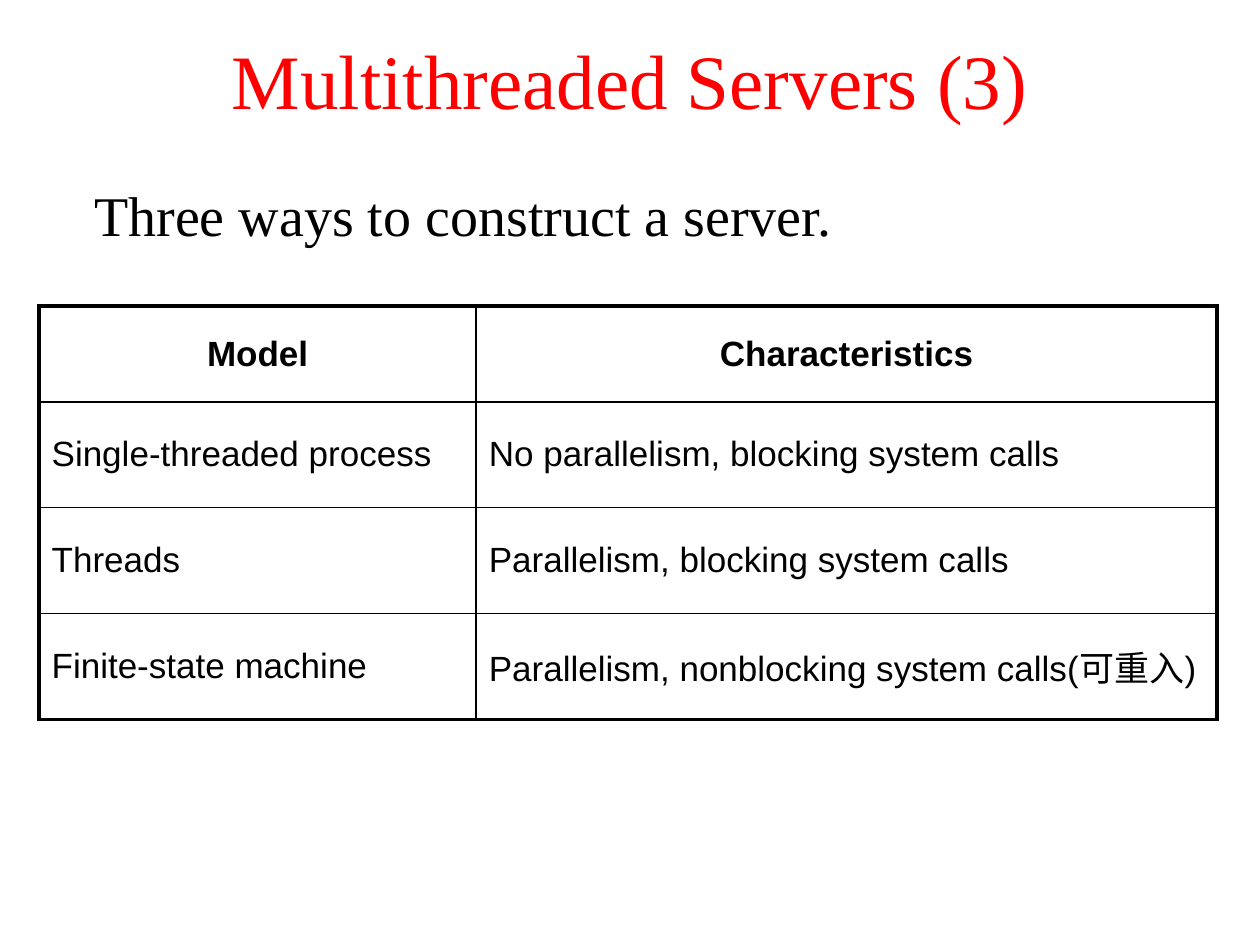
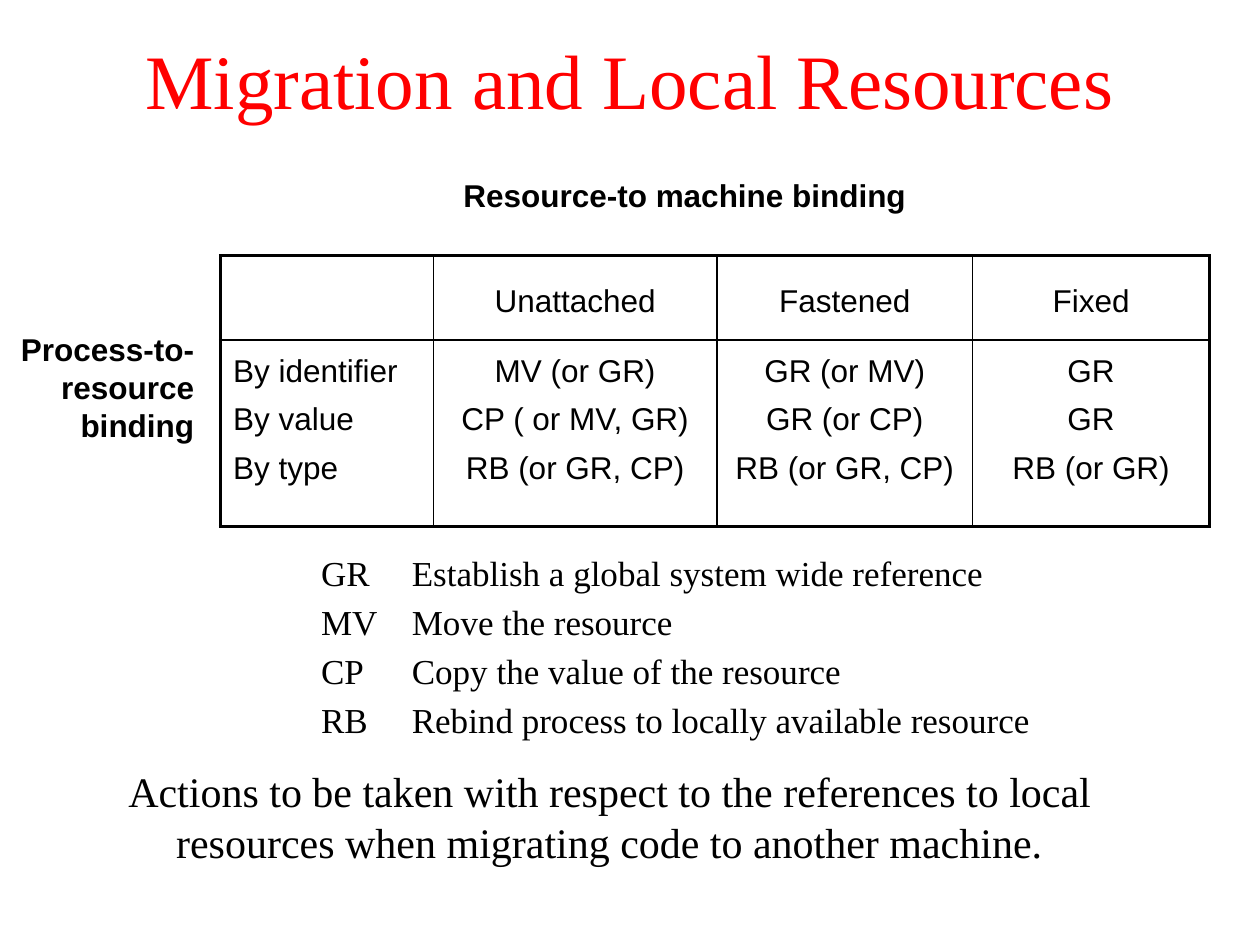
from dataclasses import dataclass
from typing import Sequence

from lxml.etree import SubElement
from pptx import Presentation
from pptx.dml.color import RGBColor
from pptx.enum.text import MSO_ANCHOR as Anchor, MSO_AUTO_SIZE as AutoSize, PP_ALIGN as Align
from pptx.oxml.ns import qn
from pptx.util import Inches, Pt

COLORS = {"title": "FF0000", "text": "000000", "rule": "000000"}
SERIF, SANS = "Times New Roman", "Arial"
TITLE_ONLY = 5
SLIDE_WIDTH, SLIDE_HEIGHT = Inches(10), Inches(7.5)
GRID_COLUMNS, GRID_ROWS = 100, 75
OUTER_RULE, INNER_RULE = 2.25, 1
HANG = 3.8


@dataclass(frozen=True)
class Area:
    """A place on the slide, in grid columns and rows."""
    column: float
    row: float
    columns: float
    rows: float

    def emu(self) -> tuple[int, int, int, int]:
        return across(self.column), down(self.row), across(self.columns), down(self.rows)


@dataclass(frozen=True)
class Style:
    font: str
    size: float
    bold: bool = False
    color: str = "text"
    align: Align = Align.LEFT
    line_spacing: float = 1.0
    gap: float = 0.2  # space between paragraphs, as a share of the text size
    hang: float = 0  # hanging indent in grid columns


@dataclass(frozen=True)
class Cell:
    lines: Sequence[str]
    style: Style
    anchor: Anchor = Anchor.MIDDLE


TITLE = Style(SERIF, 44, color="title", align=Align.CENTER)
LEAD = Style(SERIF, 32, line_spacing=0.9, hang=HANG)
CONCLUSION = Style(SERIF, 24, hang=HANG)
LEGEND = Style(SERIF, 20, hang=7.2)
MODEL_HEAD = Style(SANS, 20, bold=True, align=Align.CENTER)
MODEL_BODY = Style(SANS, 20)
BINDING = Style(SANS, 18, line_spacing=1.2)
ACTION = Style(SANS, 18, align=Align.CENTER, line_spacing=1.2)
RESOURCE_AXIS = Style(SANS, 18, bold=True, align=Align.CENTER)
PROCESS_AXIS = Style(SANS, 18, bold=True, align=Align.RIGHT)

TITLE_AREA = Area(0, 0, 100, 12.5)

MODELS = [
    ("Model", "Characteristics"),
    ("Single-threaded process", "No parallelism, blocking system calls"),
    ("Threads", "Parallelism, blocking system calls"),
    ("Finite-state machine", "Parallelism, nonblocking system calls(可重入)"),
]

MACHINE_BINDINGS = ["", "Unattached", "Fastened", "Fixed"]
PROCESS_BINDINGS = ["By identifier", "By value", "By type"]
ACTIONS = [
    ["MV (or GR)", "CP ( or MV, GR)", "RB (or GR, CP)"],
    ["GR (or MV)", "GR (or CP)", "RB (or GR, CP)"],
    ["GR", "GR", "RB (or GR)"],
]

ABBREVIATIONS = {
    "GR": "Establish a global system wide reference",
    "MV": "Move the resource",
    "CP": "Copy the value of the resource",
    "RB": "Rebind process to locally available resource",
}


def across(columns: float) -> int:
    return round(SLIDE_WIDTH * columns / GRID_COLUMNS)


def down(rows: float) -> int:
    return round(SLIDE_HEIGHT * rows / GRID_ROWS)


def write(frame, lines: Sequence[str], style: Style) -> None:
    for index, line in enumerate(lines):
        paragraph = frame.add_paragraph() if index else frame.paragraphs[0]
        paragraph.alignment = style.align
        paragraph.line_spacing = style.line_spacing
        paragraph.space_before = Pt(style.gap * style.size if index else 0)
        if style.hang:
            properties = paragraph._p.get_or_add_pPr()
            properties.set("marL", str(across(style.hang)))
            properties.set("indent", str(-across(style.hang)))
        run = paragraph.add_run()
        run.text = line
        run.font.name = style.font
        run.font.size = Pt(style.size)
        run.font.bold = style.bold
        run.font.color.rgb = RGBColor.from_string(COLORS[style.color])


def add_titled_slide(deck, title: str):
    slide = deck.slides.add_slide(deck.slide_layouts[TITLE_ONLY])
    heading = slide.shapes.title
    heading.left, heading.top, heading.width, heading.height = TITLE_AREA.emu()
    heading.text_frame.auto_size = AutoSize.NONE
    heading.text_frame.vertical_anchor = Anchor.MIDDLE
    write(heading.text_frame, [title], TITLE)
    return slide


def add_text(slide, area: Area, lines: Sequence[str], style: Style) -> None:
    frame = slide.shapes.add_textbox(*area.emu()).text_frame
    frame.word_wrap = True
    write(frame, lines, style)


def rule_cell(cell, on_edge: dict[str, bool]) -> None:
    """Draw the four borders, heavier where the cell meets the table's edge."""
    properties = cell._tc.get_or_add_tcPr()
    for side in ("L", "R", "T", "B"):
        weight = OUTER_RULE if on_edge[side] else INNER_RULE
        line = SubElement(properties, qn(f"a:ln{side}"), w=str(Pt(weight)))
        fill = SubElement(line, qn("a:solidFill"))
        SubElement(fill, qn("a:srgbClr"), val=COLORS["rule"])


def add_ruled_table(slide, column: float, row: float, widths: Sequence[float],
                    heights: Sequence[float], cells: Sequence[Sequence[Cell]]) -> None:
    area = Area(column, row, sum(widths), sum(heights))
    table = slide.shapes.add_table(len(heights), len(widths), *area.emu()).table
    table.first_row = table.horz_banding = False
    for table_column, width in zip(table.columns, widths):
        table_column.width = across(width)
    for table_row, height in zip(table.rows, heights):
        table_row.height = down(height)
    for r, row_cells in enumerate(cells):
        for c, content in enumerate(row_cells):
            cell = table.cell(r, c)
            rule_cell(cell, {"L": c == 0, "R": c == len(widths) - 1,
                             "T": r == 0, "B": r == len(heights) - 1})
            cell.fill.background()
            cell.vertical_anchor = content.anchor
            if any(content.lines):
                write(cell.text_frame, content.lines, content.style)


def build_server_models(deck) -> None:
    slide = add_titled_slide(deck, "Multithreaded Servers (3)")
    add_text(slide, Area(6.5, 14.4, 62.8, 6), ["Three ways to construct a server."], LEAD)
    cells = [[Cell([entry], MODEL_BODY if r else MODEL_HEAD) for entry in entries]
             for r, entries in enumerate(MODELS)]
    add_ruled_table(slide, 3.1, 24.3, [34.7, 58.8], [7.6] + [8.4] * 3, cells)


def build_migration(deck) -> None:
    slide = add_titled_slide(deck, "Migration and Local Resources")
    add_text(slide, Area(32.1, 13.5, 44.5, 4), ["Resource-to machine binding"], RESOURCE_AXIS)
    add_text(slide, Area(0, 25.7, 16.4, 10), ["Process-to-resource binding"], PROCESS_AXIS)
    header = [Cell([binding], ACTION) for binding in MACHINE_BINDINGS]
    body = [Cell(PROCESS_BINDINGS, BINDING, Anchor.TOP)]
    body += [Cell(actions, ACTION, Anchor.TOP) for actions in ACTIONS]
    add_ruled_table(slide, 17.5, 20.3, [16.9, 22.5, 20.3, 18.8], [6.7, 14.8], [header, body])
    legend = [f"{code}\t{meaning}" for code, meaning in ABBREVIATIONS.items()]
    add_text(slide, Area(24.5, 43.3, 59.2, 16.6), legend, LEGEND)
    add_text(slide, Area(9.2, 60.3, 85.3, 12.3),
             ["Actions to be taken with respect to the references to local "
              "resources when migrating code to another machine."], CONCLUSION)


def main() -> None:
    deck = Presentation()
    deck.slide_width, deck.slide_height = SLIDE_WIDTH, SLIDE_HEIGHT
    build_server_models(deck)
    build_migration(deck)
    deck.save("out.pptx")


if __name__ == "__main__":
    main()
